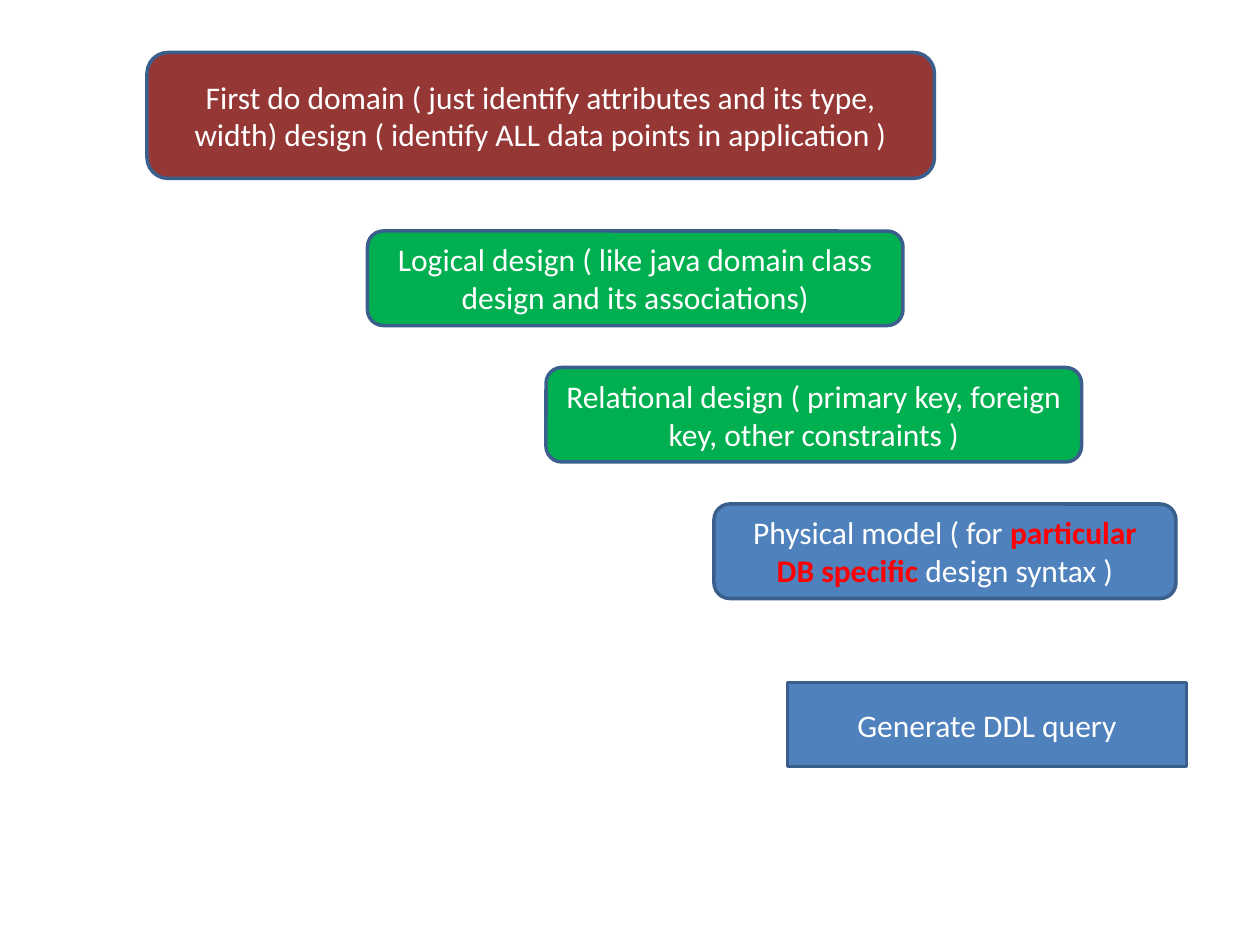
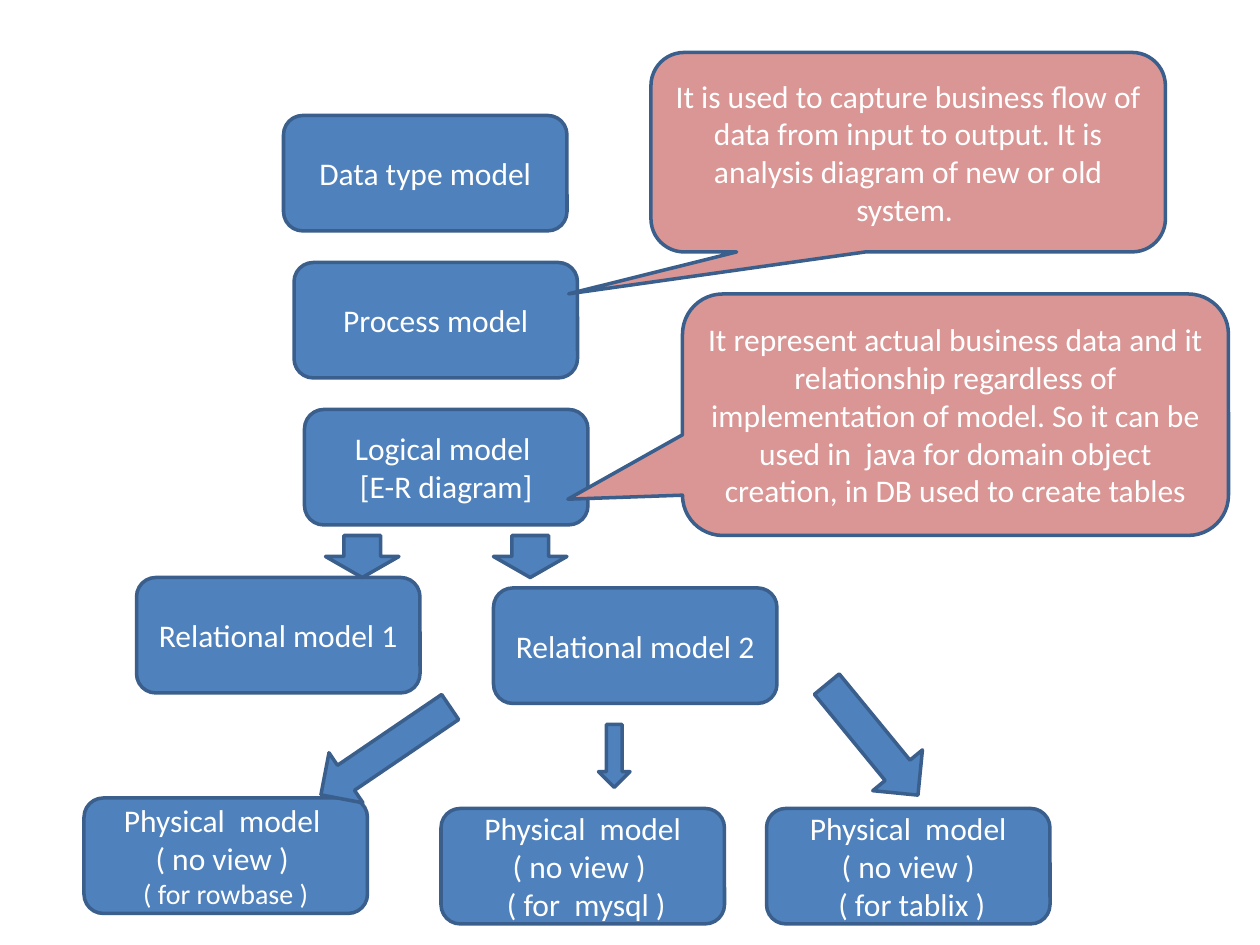
from pptx import Presentation
from pptx.dml.color import RGBColor
from pptx.enum.shapes import MSO_SHAPE
from pptx.enum.text import MSO_ANCHOR, PP_ALIGN
from pptx.util import Pt

BLUE, OUTLINE, WHITE, RED = "4F81BD", "3A5F8C", "FFFFFF", "FF0000"
MAROON, GREEN, PINK = "953735", "00B050", "D99694"
FONT, TEXT_SIZE = "Calibri", 18
MODEL_WIDTH, MODEL_HEIGHT = 162, 66


def color(hex_value):
    """Turn a hex string into a colour."""
    return RGBColor.from_string(hex_value)


def add_block(slide, kind, box, fill=BLUE):
    """Add an outlined, filled shape in a (left, top, width, height) box."""
    block = slide.shapes.add_shape(kind, *(Pt(length) for length in box))
    block.shadow.inherit = False
    block.fill.solid()
    block.fill.fore_color.rgb = color(fill)
    block.line.color.rgb = color(OUTLINE)
    block.line.width = Pt(2)
    return block


def add_run(paragraph, text, size=TEXT_SIZE, ink=WHITE, bold=False):
    """Append one formatted run to a paragraph."""
    run = paragraph.add_run()
    run.text = text
    run.font.name = FONT
    run.font.size = Pt(size)
    run.font.bold = bold
    run.font.color.rgb = color(ink)


def write_lines(block, lines):
    """Fill a shape with centred paragraphs, each a list of run arguments."""
    frame = block.text_frame
    frame.word_wrap = True
    frame.vertical_anchor = MSO_ANCHOR.MIDDLE
    for index, runs in enumerate(lines):
        paragraph = frame.paragraphs[0] if index == 0 else frame.add_paragraph()
        paragraph.alignment = PP_ALIGN.CENTER
        for run in runs:
            add_run(paragraph, *run)


def add_model(slide, left, top, *lines):
    """Add a rounded model box with one run of text per line."""
    box = (left, top, MODEL_WIDTH, MODEL_HEIGHT)
    model = add_block(slide, MSO_SHAPE.ROUNDED_RECTANGLE, box)
    write_lines(model, [[line] for line in lines])


def add_callout(slide, box, pointer, text):
    """Add a pink callout whose pointer is given as shares of its size."""
    callout = add_block(slide, MSO_SHAPE.ROUNDED_RECTANGULAR_CALLOUT, box, PINK)
    callout.adjustments[0], callout.adjustments[1] = pointer
    write_lines(callout, [[(text,)]])


def add_arrow(slide, box, rotation=0):
    """Add a down arrow, turned clockwise by the given degrees."""
    add_block(slide, MSO_SHAPE.DOWN_ARROW, box).rotation = rotation


def design_steps(slide, left, top):
    """Place the cascade of design steps from domain to DDL."""
    rounded, square = MSO_SHAPE.ROUNDED_RECTANGLE, MSO_SHAPE.RECTANGLE
    steps = [
        (rounded, (0, 0, 450, 72), MAROON,
         [("First do domain ( just identify attributes and its type, width) "
           "design ( identify ALL data points in application )",)]),
        (rounded, (126, 102, 306, 54), GREEN,
         [("Logical design ( like java domain class design and its associations)",)]),
        (rounded, (228, 180, 306, 54), GREEN,
         [("Relational design ( primary key, foreign key, other constraints )",)]),
        (rounded, (324, 258, 264, 54), BLUE,
         [("Physical model ( for ",),
          ("particular DB specific", TEXT_SIZE, RED, True),
          (" design syntax )",)]),
        (square, (366, 360, 228, 48), BLUE, [("Generate DDL query",)]),
    ]
    for kind, (x, y, width, height), fill, runs in steps:
        step = add_block(slide, kind, (left + x, top + y, width, height), fill)
        write_lines(step, [runs])


def concept_models(slide, left, top):
    """Place the stepped stack of data type, process and logical models."""
    stack = [
        [("Data type model",)],
        [("Process model",)],
        [("Logical model ",), ("[E-R diagram]",)],
    ]
    for level, lines in enumerate(stack):
        add_model(slide, left + 6 * level, top + 84 * level, *lines)


def explanations(slide, left, top):
    """Place the callouts for the process and logical models."""
    add_callout(slide, (left, top, 294, 114), (-0.66, 0.71),
                "It is used to capture business flow of data from input to output. "
                "It is analysis diagram of new or old system. ")
    add_callout(slide, (left + 18, top + 138, 312, 138), (-0.71, 0.35),
                "It represent actual business data and it relationship regardless of "
                "implementation of model. So it can be used in  java for domain object "
                "creation, in DB used to create tables")


def relational_models(slide, left, top):
    """Place both relational models and the arrows that lead to them."""
    add_model(slide, left, top + 24, ("Relational model 1",))
    add_model(slide, left + 204, top + 30, ("Relational model 2",))
    for offset in (108, 204):
        add_arrow(slide, (left + offset, top, 42, 24))


def physical_models(slide, left, top):
    """Place the three physical models and the arrows that lead to them."""
    models = [
        (0, 75, ("Physical  model ",), ("( no view ) ",), ("( for rowbase )", 16)),
        (204, 81, ("Physical  model",), ("( no view ) ",), (" ( for  mysql )",)),
        (390, 81, ("Physical  model",), ("( no view )",), (" ( for tablix )",)),
    ]
    for x, y, *lines in models:
        add_model(slide, left + x, top + y, *lines)
    arrows = [
        ((155, 3.5, 34.6, 89.3), 55.8),
        ((294, 33, 18, 36), 0),
        ((432.2, 0.6, 36.7, 82.1), 320.6),
    ]
    for (x, y, width, height), rotation in arrows:
        add_arrow(slide, (left + x, top + y, width, height), rotation)


def main():
    """Build both slides and save the presentation."""
    deck = Presentation()
    deck.slide_width, deck.slide_height = Pt(720), Pt(540)
    blank = deck.slide_layouts[6]

    design_steps(deck.slides.add_slide(blank), 84, 30)

    model_slide = deck.slides.add_slide(blank)
    concept_models(model_slide, 162, 66)
    explanations(model_slide, 372, 30)
    relational_models(model_slide, 78, 306)
    physical_models(model_slide, 48, 381)

    deck.save("out.pptx")


if __name__ == "__main__":
    main()
